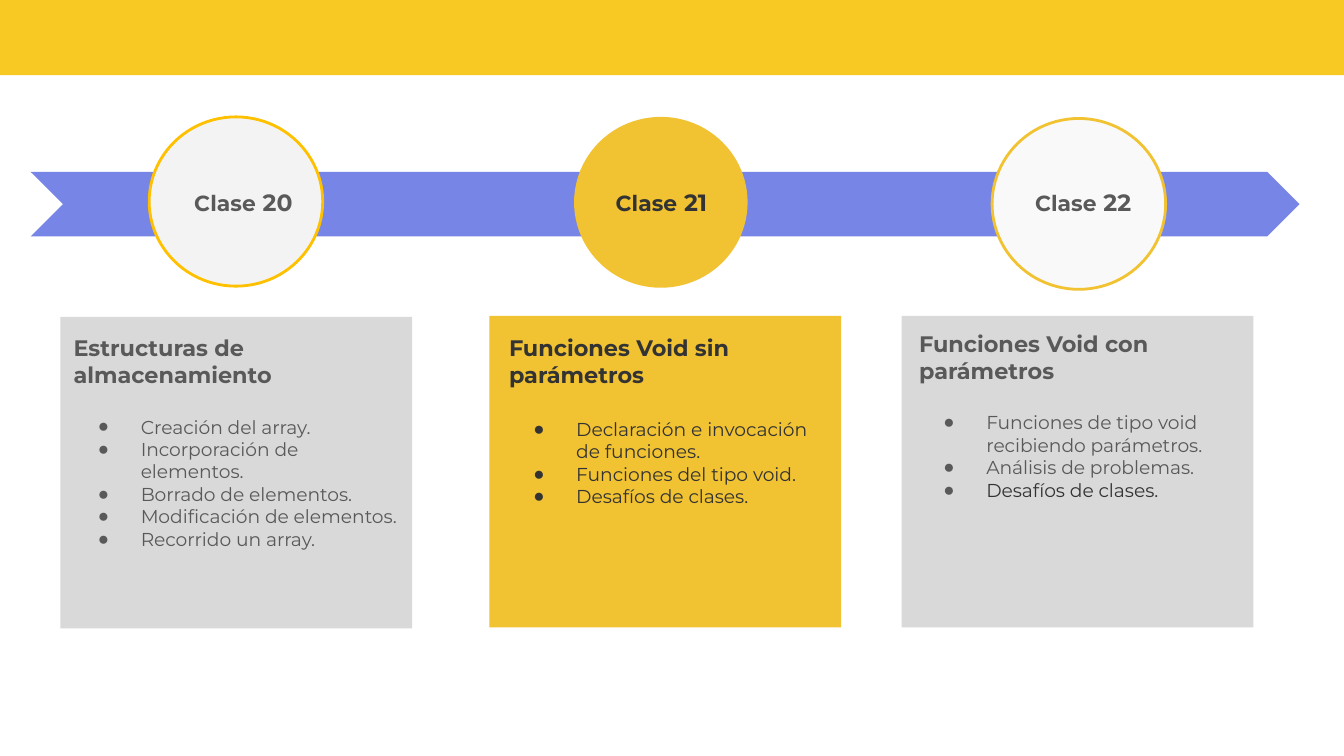
from lxml import etree
from pptx import Presentation
from pptx import util as u
from pptx.dml.color import RGBColor
from pptx.enum import shapes, text
from pptx.oxml.ns import qn

FONT = "Montserrat"
GOLD, GREY, DARK, MID = "F1C232", "D9D9D9", "333333", "595959"
SHAPE = shapes.MSO_SHAPE
ALIGN = text.PP_ALIGN
ANCHOR = text.MSO_ANCHOR

# Each class: circle, label, card and list positions are in cm
CLASSES = [
    dict(number="20", ink=MID, circle=(2.82, 2.21, 3.28, 3.2), fill="F3F3F3",
         outline="FFC000", label_x=3.33, card=(1.14, 5.99), card_fill=GREY,
         topics_at=(1.14, 6.07), gap=14.6, heading="Estructuras de almacenamiento",
         topics=["Creación del array.", "Incorporación de elementos.",
                 "Borrado de elementos.", "Modificación de elementos.",
                 "Recorrido un array."]),
    dict(number="21", ink=DARK, circle=(10.85, 2.21, 3.28, 3.23), fill=GOLD,
         outline=None, label_x=11.23, card=(9.25, 5.97), card_fill=GOLD,
         topics_at=(9.37, 6.07), gap=15.8, heading="Funciones Void sin parámetros",
         topics=["Declaración e invocación de funciones.",
                 "Funciones del tipo void.", "Desafíos de clases."]),
    dict(number="22", ink=MID, last_ink=DARK, circle=(18.75, 2.24, 3.28, 3.23),
         fill="F9F9F9", outline=GOLD, label_x=19.2, card=(17.04, 5.97),
         card_fill=GREY, topics_at=(17.12, 5.99), gap=14.6,
         heading="Funciones Void con parámetros",
         topics=["Funciones de tipo void recibiendo parámetros.",
                 "Análisis de problemas.", "Desafíos de clases."]),
]


def color(hex_value):
    return RGBColor.from_string(hex_value)


def apply(target, values):
    for key, value in values.items():
        setattr(target, key, value)


def place(holder, left, top, width, height):
    apply(holder, dict(left=u.Cm(left), top=u.Cm(top),
                       width=u.Cm(width), height=u.Cm(height)))


def add_block(slide, kind, box, fill, outline=None):
    block = slide.shapes.add_shape(kind, *map(u.Cm, box))
    block.shadow.inherit = False
    block.fill.solid()
    block.fill.fore_color.rgb = color(fill)
    if outline:
        block.line.color.rgb = color(outline)
        block.line.width = u.Pt(1.5)
    else:
        block.line.fill.background()
    return block


def format_frame(frame, anchor):
    inset = u.Cm(0.25)
    apply(frame, dict(word_wrap=True, auto_size=text.MSO_AUTO_SIZE.NONE,
                      vertical_anchor=anchor, margin_left=inset,
                      margin_right=inset, margin_top=inset, margin_bottom=inset))


def add_run(paragraph, words, size, ink, bold=True):
    run = paragraph.add_run()
    run.text = words
    apply(run.font, dict(name=FONT, size=u.Pt(size), bold=bold))
    run.font.color.rgb = color(ink)


def format_paragraph(paragraph, alignment=ALIGN.LEFT, before=0, bullet_ink=None):
    apply(paragraph, dict(alignment=alignment, space_before=u.Pt(before),
                          space_after=u.Pt(0), line_spacing=1.0))
    props = paragraph._p.get_or_add_pPr()
    margin, indent = (u.Cm(1.27), u.Cm(-0.81)) if bullet_ink else (0, 0)
    props.set("marL", str(int(margin)))
    props.set("indent", str(int(indent)))
    if bullet_ink:
        bullet_color = etree.SubElement(props, qn("a:buClr"))
        etree.SubElement(bullet_color, qn("a:srgbClr"), val=bullet_ink)
        etree.SubElement(props, qn("a:buChar"), char="●")
    else:
        etree.SubElement(props, qn("a:buNone"))


def write_label(label, lesson):
    place(label, lesson["label_x"], 3.4, 2.54, 0.84)
    format_frame(label.text_frame, ANCHOR.MIDDLE)
    line = label.text_frame.paragraphs[0]
    format_paragraph(line, ALIGN.CENTER)
    add_run(line, "Clase", 11.7, lesson["ink"])
    add_run(line, " " + lesson["number"], 12.6, lesson["ink"])


def write_topics(body, lesson):
    place(body, *lesson["topics_at"], 6.65, 5.77)
    frame, ink = body.text_frame, lesson["ink"]
    format_frame(frame, ANCHOR.TOP)
    heading = frame.paragraphs[0]
    format_paragraph(heading)
    add_run(heading, lesson["heading"], 12, ink)
    last = len(lesson["topics"]) - 1
    for index, topic in enumerate(lesson["topics"]):
        item = frame.add_paragraph()
        format_paragraph(item, before=0 if index else lesson["gap"], bullet_ink=ink)
        topic_ink = lesson.get("last_ink", ink) if index == last else ink
        add_run(item, topic, 10, topic_ink, bold=False)


def bring_to_front(slide, holder):
    slide.shapes._spTree.append(holder._element)


def main():
    deck = Presentation()
    apply(deck, dict(slide_width=u.Cm(25.4), slide_height=u.Cm(14.29)))
    slide = deck.slides.add_slide(deck.slide_layouts[4])
    title, *bodies, spare = list(slide.placeholders)
    spare._element.getparent().remove(spare._element)

    # Top band and timeline arrow
    add_block(slide, SHAPE.RECTANGLE, (-0.03, -0.13, 25.48, 1.55), "F8C823")
    timeline = add_block(slide, SHAPE.CHEVRON, (0.58, 3.25, 23.98, 1.22), "7685E6")
    timeline.adjustments[0] = 0.5

    # One circle and one card per class
    for lesson, body in zip(CLASSES, bodies):
        add_block(slide, SHAPE.OVAL, lesson["circle"], lesson["fill"], lesson["outline"])
        add_block(slide, SHAPE.RECTANGLE, (*lesson["card"], 6.65, 5.89), lesson["card_fill"])

        # The current class carries the slide title
        if lesson["number"] == "21":
            label = title
            bring_to_front(slide, label)
        else:
            label = slide.shapes.add_textbox(0, 0, 0, 0)
        write_label(label, lesson)
        bring_to_front(slide, body)
        write_topics(body, lesson)

    deck.save("out.pptx")


if __name__ == "__main__":
    main()
